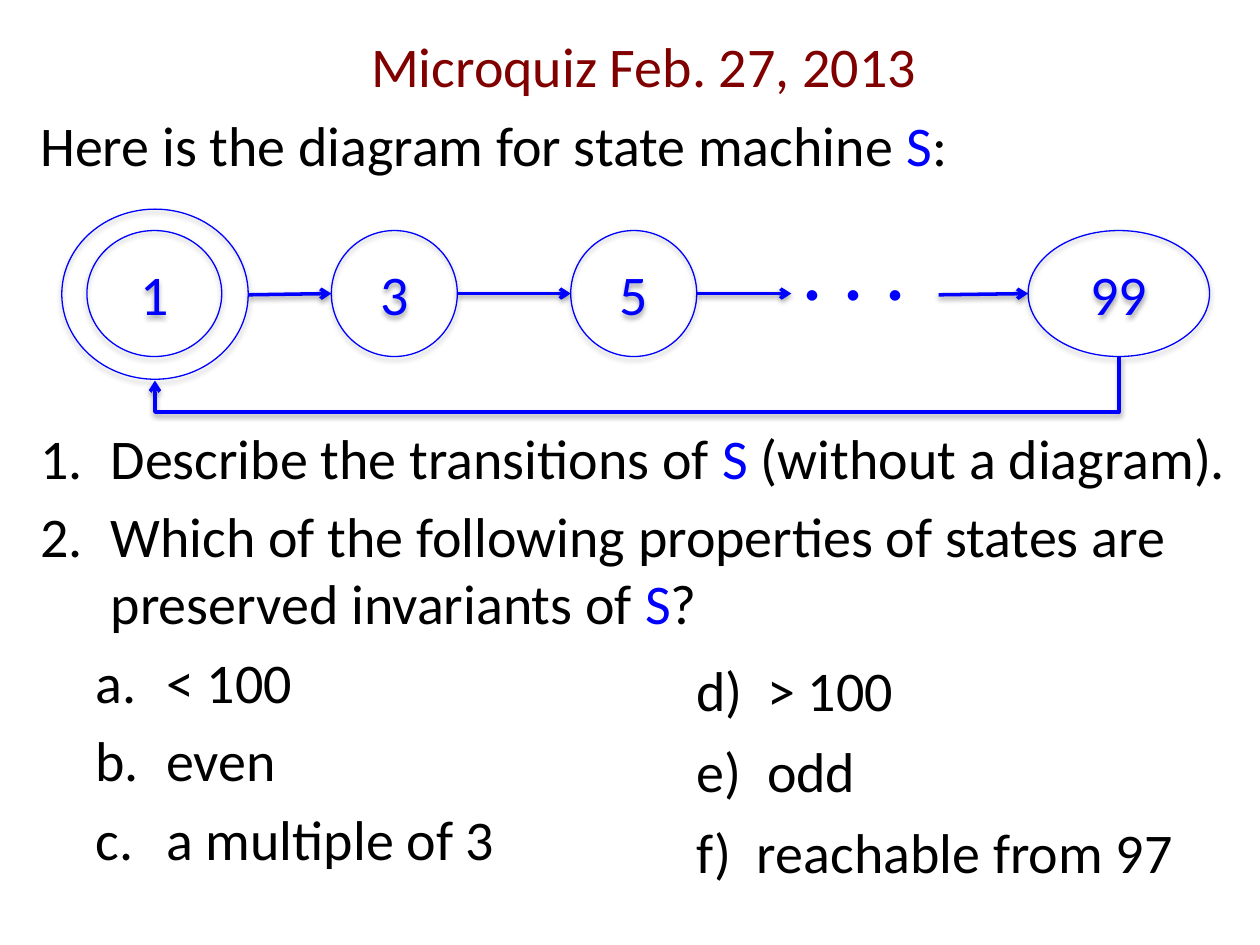
from lxml.etree import SubElement
from pptx import Presentation
from pptx.dml.color import RGBColor as RGB
from pptx.enum.shapes import MSO_CONNECTOR as CONN, MSO_SHAPE as SHAPE
from pptx.enum.text import MSO_ANCHOR as ANCHOR, MSO_AUTO_SIZE as AUTO, PP_ALIGN as ALIGN
from pptx.oxml.ns import qn
from pptx.util import Inches, Pt

COLORS = {"title": "800000", "text": "000000", "accent": "0000FF"}


class SlideBuilder:
    font = "Calibri"
    size = 32
    gap = 6.4

    def __init__(self, slide):
        self.slide = slide

    def run(self, p, text, color="text", size=None):
        r = p.add_run()
        r.text = text
        r.font.name = self.font
        r.font.size = Pt(size or self.size)
        r.font.color.rgb = RGB.from_string(COLORS[color])

    def title(self, text, *box):
        sp = self.slide.shapes.title
        sp.left, sp.top, sp.width, sp.height = map(Inches, box)
        tf = sp.text_frame
        tf.auto_size = AUTO.NONE
        tf.vertical_anchor = ANCHOR.TOP
        p = tf.paragraphs[0]
        p.alignment = ALIGN.CENTER
        self.run(p, text, "title")

    def textbox(self, *box, wrap=True):
        tf = self.slide.shapes.add_textbox(*map(Inches, box)).text_frame
        tf.word_wrap = wrap
        return tf

    def paragraph(self, tf, runs):
        p = tf.paragraphs[0]
        if p.runs:
            p = tf.add_paragraph()
            p.space_before = Pt(self.gap)
        for text, color in runs:
            self.run(p, text, color)
        return p

    def numbered(self, tf, runs, scheme, margin=0.56, hang=0.56, level=0, start=None):
        p = self.paragraph(tf, runs)
        p.level = level
        pPr = p._p.get_or_add_pPr()
        pPr.set("marL", str(Inches(margin)))
        pPr.set("indent", str(-Inches(hang)))
        SubElement(pPr, qn("a:buFont"), typeface="+mj-lt")
        num = SubElement(pPr, qn("a:buAutoNum"), type=scheme)
        if start:
            num.set("startAt", str(start))
        return p

    def shadow(self, sp, alpha, dist):
        effects = SubElement(sp._element.spPr, qn("a:effectLst"))
        outer = SubElement(effects, qn("a:outerShdw"), blurRad=str(Pt(3.1)),
                           dist=str(Pt(dist)), dir="5400000", rotWithShape="0")
        color = SubElement(outer, qn("a:srgbClr"), val="000000")
        SubElement(color, qn("a:alpha"), val=str(alpha * 1000))

    def state(self, label, *box):
        sp = self.slide.shapes.add_shape(SHAPE.OVAL, *map(Inches, box))
        sp.fill.background()
        sp.line.color.rgb = RGB.from_string(COLORS["accent"])
        sp.line.width = Pt(0.75)
        self.shadow(sp, 35, 1.8)
        if label:
            tf = sp.text_frame
            tf.vertical_anchor = ANCHOR.MIDDLE
            p = tf.paragraphs[0]
            p.alignment = ALIGN.CENTER
            self.run(p, label, "accent")

    def arrow(self, x1, y1, x2, y2, kind=CONN.STRAIGHT):
        cx = self.slide.shapes.add_connector(kind, *map(Inches, (x1, y1, x2, y2)))
        cx.line.color.rgb = RGB.from_string(COLORS["accent"])
        cx.line.width = Pt(2)
        SubElement(cx.line._get_or_add_ln(), qn("a:tailEnd"), type="arrow")
        self.shadow(cx, 38, 1.6)
        return cx

    def loop_back(self, x1, y1, x2, y2, low):
        mid_x, mid_y = (x1 + x2) / 2, (y1 + y2) / 2
        half_w, half_h = (y2 - y1) / 2, (x1 - x2) / 2
        cx = self.arrow(mid_x - half_w, mid_y - half_h,
                        mid_x + half_w, mid_y + half_h, CONN.ELBOW)
        spPr = cx._element.spPr
        spPr.find(qn("a:xfrm")).set("rot", "5400000")
        guides = spPr.find(qn("a:prstGeom")).get_or_add_avLst()
        ratio = round((low - y1) / (y2 - y1) * 100000)
        SubElement(guides, qn("a:gd"), name="adj1", fmla=f"val {ratio}")


def main():
    prs = Presentation()
    prs.slide_width, prs.slide_height = Inches(10), Inches(7.5)
    s = SlideBuilder(prs.slides.add_slide(prs.slide_layouts[5]))
    machine = ("S", "accent")

    s.title("Microquiz Feb. 27, 2013", 0.22, 0.2, 9.78, 0.64)
    intro = s.textbox(0.22, 0.83, 9.78, 0.64)
    s.paragraph(intro, [("Here is the diagram for state machine ", "text"),
                        machine, (":", "text")])

    for label, left, width in (("1", 0.69, 1.07), ("3", 2.63, 1),
                               ("5", 4.53, 1), ("99", 8.16, 1.44)):
        s.state(label, left, 1.83, width, 1)
    s.state("", 0.49, 1.66, 1.48, 1.35)

    for x1, y1, x2 in ((1.97, 2.34, 2.63), (3.63, 2.33, 4.53),
                       (5.53, 2.33, 6.28), (7.45, 2.34, 8.16)):
        s.arrow(x1, y1, x2, 2.33)
    s.loop_back(8.88, 2.83, 1.23, 3.02, 3.27)

    dots = s.textbox(6.26, 1.64, 1.34, 0.94)
    s.run(dots.paragraphs[0], ". . .", "accent", 50)

    questions = s.textbox(0.22, 3.31, 9.78, 3.9)
    for before, after in (
            ("Describe the transitions of ", " (without a diagram)."),
            ("Which of the following properties of states are "
             "preserved invariants of ", "?")):
        s.numbered(questions, [(before, "text"), machine, (after, "text")],
                   "arabicPeriod")
    for option in ("< 100", "even", "a multiple of 3"):
        s.numbered(questions, [(option, "text")], "alphaLcPeriod", margin=1, level=1)

    options = s.textbox(5.43, 5.05, 4, 2.02, wrap=False)
    for option, indent in (("> 100", 0.56), ("odd", 0.56), ("reachable from 97", 0.48)):
        p = s.numbered(options, [(option, "text")], "alphaLcParenR",
                       margin=indent, hang=indent, start=4)
        p.line_spacing = 1.2
        p.space_before = Pt(0)

    prs.save("out.pptx")


if __name__ == "__main__":
    main()
